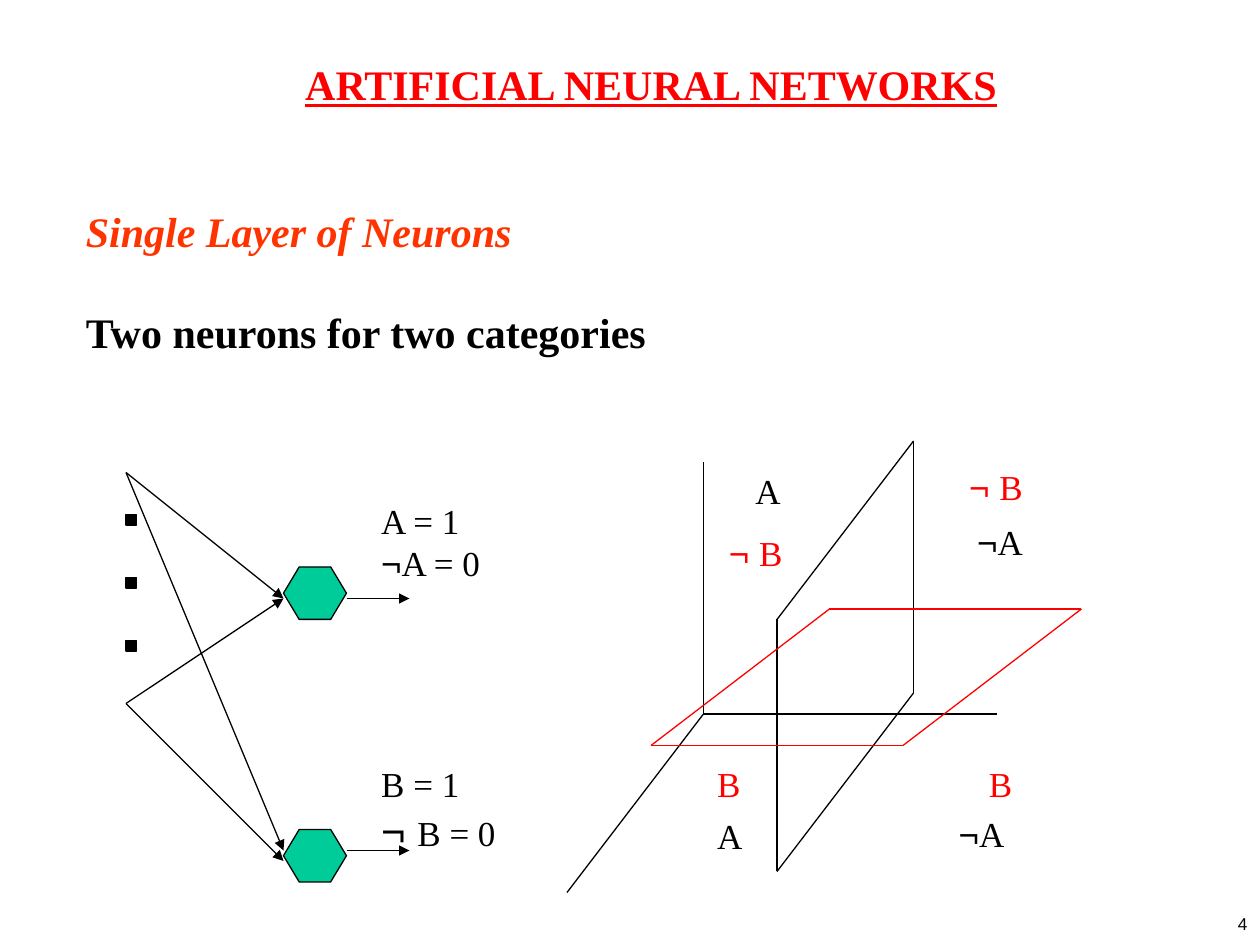
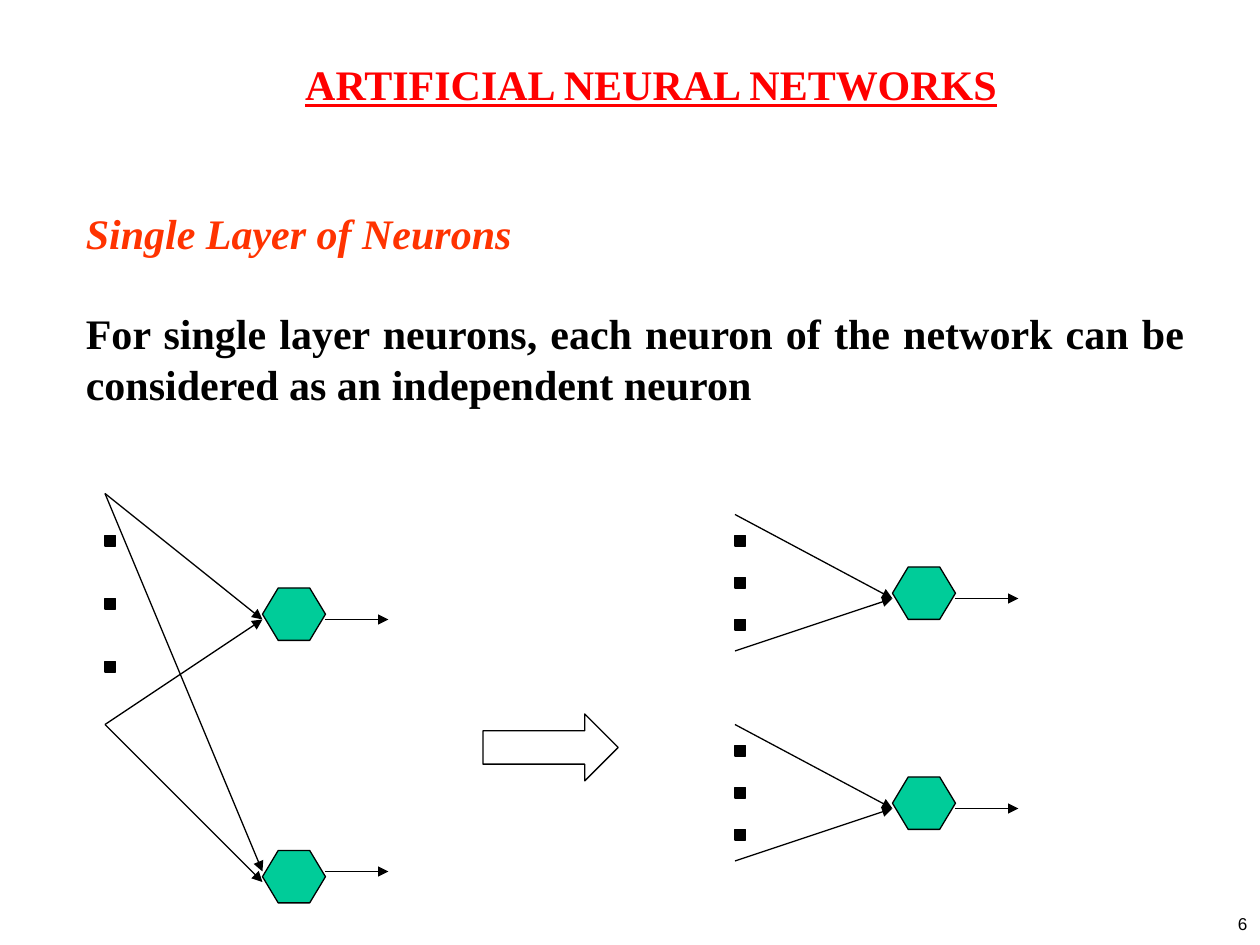
from pptx import Presentation
from pptx.dml.color import RGBColor
from pptx.enum.shapes import MSO_CONNECTOR, MSO_SHAPE
from pptx.enum.text import MSO_ANCHOR, MSO_AUTO_SIZE, PP_ALIGN
from pptx.oxml.ns import qn
from pptx.util import Emu, Pt
from lxml import etree

PX = 9525
BLACK, RED, ORANGE, GREEN = "000000", "FF0000", "FF3300", "00CC99"
SERIF, SANS = "Times New Roman", "Arial"
HEX, RECT, ARROW = MSO_SHAPE.HEXAGON, MSO_SHAPE.RECTANGLE, MSO_SHAPE.RIGHT_ARROW
STRAIGHT = MSO_CONNECTOR.STRAIGHT
LEFT, RIGHT, CENTER, JUSTIFY = PP_ALIGN.LEFT, PP_ALIGN.RIGHT, PP_ALIGN.CENTER, PP_ALIGN.JUSTIFY
TOP, NONE = MSO_ANCHOR.TOP, MSO_AUTO_SIZE.NONE
rgb = RGBColor.from_string


def write(shape, box, lines, align=LEFT, wrap=True):
    """Place a shape and fill it; each line is a list of (text, font, size, colour, style)."""
    shape.left, shape.top, shape.width, shape.height = [Emu(v * PX) for v in box]
    frame = shape.text_frame
    frame.auto_size, frame.word_wrap, frame.vertical_anchor = NONE, wrap, TOP
    for i, line in enumerate(lines):
        para = frame.add_paragraph() if i else frame.paragraphs[0]
        para.alignment = align
        for text, name, size, color, style in line:
            run = para.add_run()
            run.text = text
            font = run.font
            font.name, font.size, font.color.rgb = name, Pt(size), rgb(color)
            font.bold, font.italic, font.underline = [c in style for c in "biu"]
    return frame


def draw(slide, start, end, color=BLACK, head=False):
    """Draw a thin line, with an arrowhead at its end if asked."""
    ends = [Emu(v * PX) for v in (*start, *end)]
    link = slide.shapes.add_connector(STRAIGHT, *ends)
    link.line.color.rgb, link.line.width = rgb(color), Pt(0.75)
    if head:
        etree.SubElement(link.line._get_or_add_ln(), qn("a:tailEnd"), type="triangle")
    etree.SubElement(link._element.spPr, qn("a:effectLst"))


deck = Presentation()
deck.slide_width, deck.slide_height = Emu(960 * PX), Emu(720 * PX)

# Shared frame: title, heading with statement, page number
pages = [
    ("4", 152, 125, "Two neurons for two categories"),
    ("6", 153, 163, "For single layer neurons, each neuron of the network "
                    "can be considered as an independent neuron"),
]
slides = []
for number, top, high, claim in pages:
    slide = deck.slides.add_slide(deck.slide_layouts[5])
    slides.append(slide)
    write(slide.shapes.title, (120, 40, 752, 48),
          [[("ARTIFICIAL NEURAL NETWORKS", SERIF, 24, RED, "bu")]], CENTER)
    body = write(slide.shapes.add_textbox(0, 0, 0, 0), (56, top, 856, high),
                 [[("Single Layer of Neurons", SERIF, 24, ORANGE, "bi")],
                  [(claim, SERIF, 24, BLACK, "b")]], JUSTIFY)
    body.paragraphs[1].space_before = Pt(28.8)
    page = write(slide.shapes.add_textbox(0, 0, 0, 0), (908, 694, 52, 26),
                 [[(number, SANS, 9.8, BLACK, "")]], RIGHT)
    page.paragraphs[0].line_spacing = 0.8
first, second = slides

# Networks: the neurons hold hexagon top, arrival of each input, and output height
pair = [(72, (96, 96), 96), (272, (288, 296), 288)]
single = [(40, (64, 64), 64)]
nets = [  # slide, left, top, lower input, first dot, dot step, neurons
    (first, 96, 360, 176, 32, 48, pair),
    (second, 80, 376, 176, 32, 48, pair),
    (second, 560, 392, 104, 16, 32, single),
    (second, 560, 552, 104, 16, 32, single),
]
parts = [(second, ARROW, (368, 544, 103, 51), None)]
for slide, x, y, low, dot, step, cells in nets:
    for i in range(3):
        parts.append((slide, RECT, (x, y + dot + i * step, 8, 8), BLACK))
    for top, hits, out in cells:
        parts.append((slide, HEX, (x + 120, y + top, 48, 40), GREEN))
        for start, hit in zip((0, low), hits):
            draw(slide, (x, y + start), (x + 120, y + hit), head=True)
        draw(slide, (x + 168, y + out), (x + 216, y + out), head=True)

# Dots, hexagons and block arrow
for slide, kind, box, fill in parts:
    shape = slide.shapes.add_shape(kind, *[Emu(v * PX) for v in box])
    shape.shadow.inherit = False
    shape.line.color.rgb, shape.line.width = rgb(BLACK), Pt(0.75)
    if fill:
        shape.fill.solid()
        shape.fill.fore_color.rgb = rgb(fill)
    else:
        shape.fill.background()
    if kind == HEX:
        shape.adjustments[0] = 0.3

# Axes and the two dividing planes
for end in [(536, 352), (760, 544), (432, 680)]:
    draw(first, (536, 544), end)
planes = [
    (BLACK, [(696, 336), (592, 472), (592, 664), (696, 528)]),
    (RED, [(824, 464), (632, 464), (496, 568), (688, 568)]),
]
for color, spots in planes:
    for start, end in zip(spots, spots[1:] + spots[:1]):
        draw(first, start, end, color)

# Labels of the regions and of the neuron outputs
yes_a = [("A", SERIF, 20, BLACK, "")]
yes_b = [("B", SERIF, 20, RED, "")]
not_a = [("¬", SANS, 20, BLACK, "")] + yes_a
not_b = [("¬ ", SANS, 20, RED, "")] + yes_b
out_a = [[("A = 1", SERIF, 20, BLACK, "")],
         [("¬", SANS, 20, BLACK, ""), ("A = 0", SERIF, 20, BLACK, "")]]
out_b = [[("B = 1", SERIF, 20, BLACK, "")],
         [("¬ ", SANS, 24, BLACK, ""), ("B = 0", SERIF, 20, BLACK, "")]]
labels = [
    ((566, 353, 38, 42), [yes_a]), ((546, 400, 60, 42), [not_b]),
    ((729, 350, 60, 42), [not_b]), ((735, 392, 56, 42), [not_a]),
    ((537, 576, 36, 42), [yes_b]), ((537, 616, 38, 42), [yes_a]),
    ((744, 576, 36, 42), [yes_b]), ((721, 614, 56, 42), [not_a]),
    ((281, 376, 97, 74), out_a), ((281, 576, 108, 81), out_b),
]
for box, lines in labels:
    write(first.shapes.add_textbox(0, 0, 0, 0), box, lines, wrap=False)

deck.save("out.pptx")
